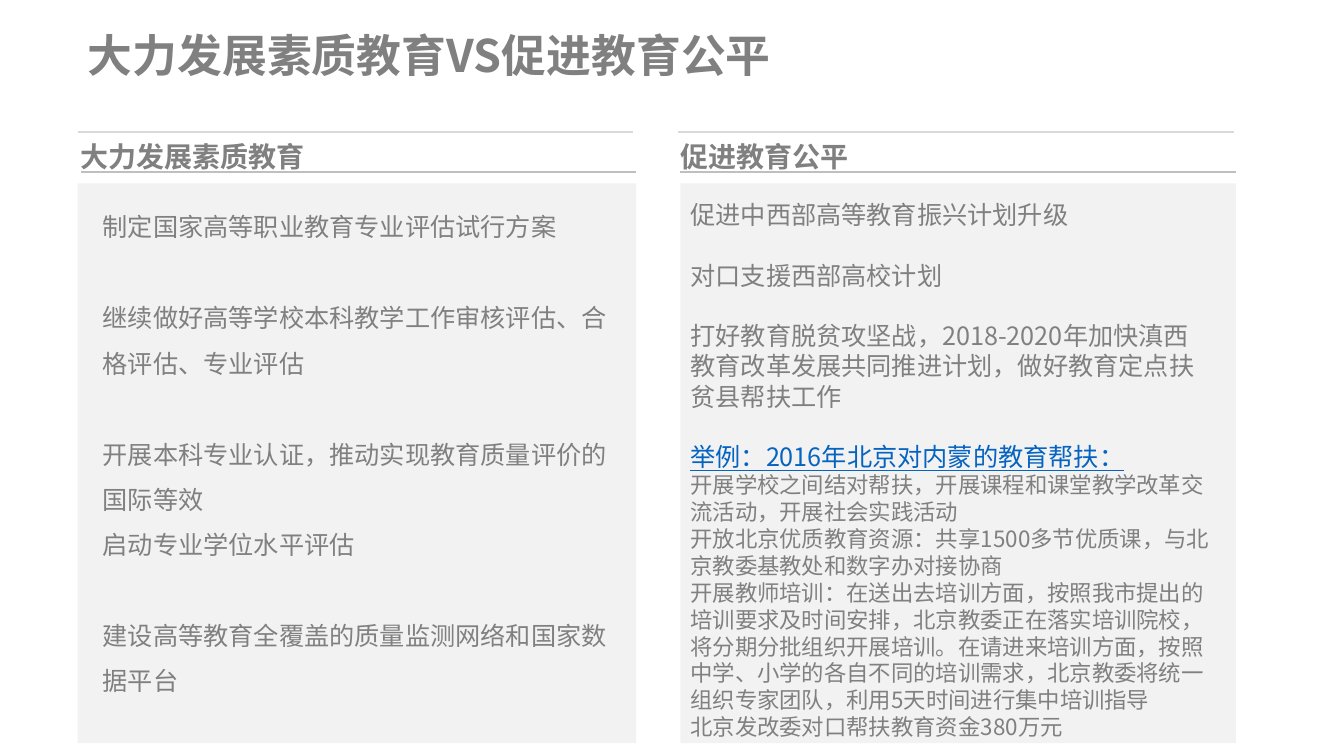
from dataclasses import dataclass

from lxml import etree
from pptx import Presentation
from pptx.dml.color import RGBColor
from pptx.enum import shapes, text
from pptx.oxml.ns import qn
from pptx.util import Cm, Pt


@dataclass(frozen=True)
class Theme:
    font: str = "Noto Sans CJK SC"
    ink: str = "808080"
    link: str = "0563C1"
    panel: str = "F2F2F2"
    top_rule: str = "D9D9D9"
    heading_rule: str = "BFBFBF"
    title_size: float = 32
    heading_size: float = 20
    body_size: float = 18
    detail_size: float = 16


THEME = Theme()


@dataclass(frozen=True)
class Line:
    content: str
    gap: float = 0  # space before, in points
    size: float = THEME.body_size
    color: str = THEME.ink
    bold: bool = False
    underline: bool = False


@dataclass(frozen=True)
class Column:
    rule_left: float
    left: float
    panel_left: float
    panel_width: float
    body_left: float
    body_top: float
    body_height: float
    spacing: float
    heading: str
    lines: list[Line]


RULE_WIDTH = 14.0
TOP_RULE_Y, HEADING_Y, HEADING_RULE_Y, PANEL_Y = 3.33, 3.35, 4.33, 4.62
PANEL_HEIGHT = 14.11
BODY_WIDTH = 13.69
WIDE_GAP, GAP = 32.5, 21.6

COLUMNS = [
    Column(1.96, 2.03, 1.96, 14.07, 2.34, 4.83, 15.27, 1.5, "大力发展素质教育", [
        Line("制定国家高等职业教育专业评估试行方案"),
        Line("继续做好高等学校本科教学工作审核评估、合格评估、专业评估", WIDE_GAP),
        Line("开展本科专业认证，推动实现教育质量评价的国际等效", WIDE_GAP),
        Line("启动专业学位水平评估"),
        Line("建设高等教育全覆盖的质量监测网络和国家数据平台", WIDE_GAP),
    ]),
    Column(17.09, 17.15, 17.15, 14.0, 17.15, 4.9, 14.78, 1.0, "促进教育公平", [
        Line("促进中西部高等教育振兴计划升级"),
        Line("对口支援西部高校计划", GAP),
        Line("打好教育脱贫攻坚战，2018-2020年加快滇西教育改革发展共同推进计划，"
             "做好教育定点扶贫县帮扶工作", GAP),
        Line("举例：2016年北京对内蒙的教育帮扶：", GAP, color=THEME.link, underline=True),
        Line("开展学校之间结对帮扶，开展课程和课堂教学改革交流活动，开展社会实践活动",
             size=THEME.detail_size),
        Line("开放北京优质教育资源：共享1500多节优质课，与北京教委基教处和数字办对接协商",
             size=THEME.detail_size),
        Line("开展教师培训：在送出去培训方面，按照我市提出的培训要求及时间安排，"
             "北京教委正在落实培训院校，将分期分批组织开展培训。在请进来培训方面，"
             "按照中学、小学的各自不同的培训需求，北京教委将统一组织专家团队，"
             "利用5天时间进行集中培训指导", size=THEME.detail_size),
        Line("北京发改委对口帮扶教育资金380万元", size=THEME.detail_size),
    ]),
]


def write_line(paragraph, content: str, *, size: float, color: str = THEME.ink,
               bold: bool = False, underline: bool = False,
               spacing: float = 1.0, gap: float = 0) -> None:
    paragraph.alignment = text.PP_ALIGN.LEFT
    paragraph.line_spacing = spacing
    paragraph.space_before = Pt(gap)
    run = paragraph.add_run()
    run.text = content
    font = run.font
    font.name, font.size, font.bold, font.underline = THEME.font, Pt(size), bold, underline
    font.color.rgb = RGBColor.from_string(color)
    east_asian = etree.SubElement(run._r.get_or_add_rPr(), qn("a:ea"))
    east_asian.set("typeface", THEME.font)


def add_rule(slide, left: float, top: float, color: str, width: float) -> None:
    rule = slide.shapes.add_connector(shapes.MSO_CONNECTOR.STRAIGHT, Cm(left), Cm(top),
                                      Cm(left + RULE_WIDTH), Cm(top))
    rule.line.color.rgb = RGBColor.from_string(color)
    rule.line.width = Pt(width)
    etree.SubElement(rule._element.spPr, qn("a:effectLst"))


def add_text_box(slide, left: float, top: float, width: float, height: float):
    box = slide.shapes.add_textbox(Cm(left), Cm(top), Cm(width), Cm(height))
    box.text_frame.word_wrap = True
    return box.text_frame


def add_column(slide, column: Column) -> None:
    # Rules and panel
    add_rule(slide, column.rule_left, TOP_RULE_Y, THEME.top_rule, 1)
    add_rule(slide, column.left, HEADING_RULE_Y, THEME.heading_rule, 1.75)
    panel = slide.shapes.add_shape(shapes.MSO_SHAPE.RECTANGLE, Cm(column.panel_left),
                                   Cm(PANEL_Y), Cm(column.panel_width), Cm(PANEL_HEIGHT))
    panel.shadow.inherit = False
    panel.fill.solid()
    panel.fill.fore_color.rgb = RGBColor.from_string(THEME.panel)
    panel.line.fill.background()

    # Heading
    frame = add_text_box(slide, column.left, HEADING_Y, 6.63, 0.74)
    frame.margin_left = frame.margin_right = frame.margin_top = frame.margin_bottom = 0
    frame.vertical_anchor = text.MSO_ANCHOR.MIDDLE
    write_line(frame.paragraphs[0], column.heading, size=THEME.heading_size,
               bold=True, spacing=1.5)

    # Body
    frame = add_text_box(slide, column.body_left, column.body_top, BODY_WIDTH,
                         column.body_height)
    frame.auto_size = text.MSO_AUTO_SIZE.SHAPE_TO_FIT_TEXT
    for index, line in enumerate(column.lines):
        paragraph = frame.add_paragraph() if index else frame.paragraphs[0]
        write_line(paragraph, line.content, size=line.size, color=line.color,
                   bold=line.bold, underline=line.underline,
                   spacing=column.spacing, gap=line.gap)


def add_title(slide, content: str) -> None:
    title = slide.shapes.title
    title.left, title.top, title.width, title.height = Cm(1.96), Cm(0.58), Cm(19.91), Cm(1.68)
    frame = title.text_frame
    frame.word_wrap = True
    frame.auto_size = text.MSO_AUTO_SIZE.NONE
    frame.vertical_anchor = text.MSO_ANCHOR.TOP
    write_line(frame.paragraphs[0], content, size=THEME.title_size, bold=True)


def main() -> None:
    presentation = Presentation()
    presentation.slide_width, presentation.slide_height = Cm(33.87), Cm(19.05)
    slide = presentation.slides.add_slide(presentation.slide_layouts.get_by_name("Title Only"))
    add_title(slide, "大力发展素质教育VS促进教育公平")
    for column in COLUMNS:
        add_column(slide, column)
    presentation.save("out.pptx")


if __name__ == "__main__":
    main()
